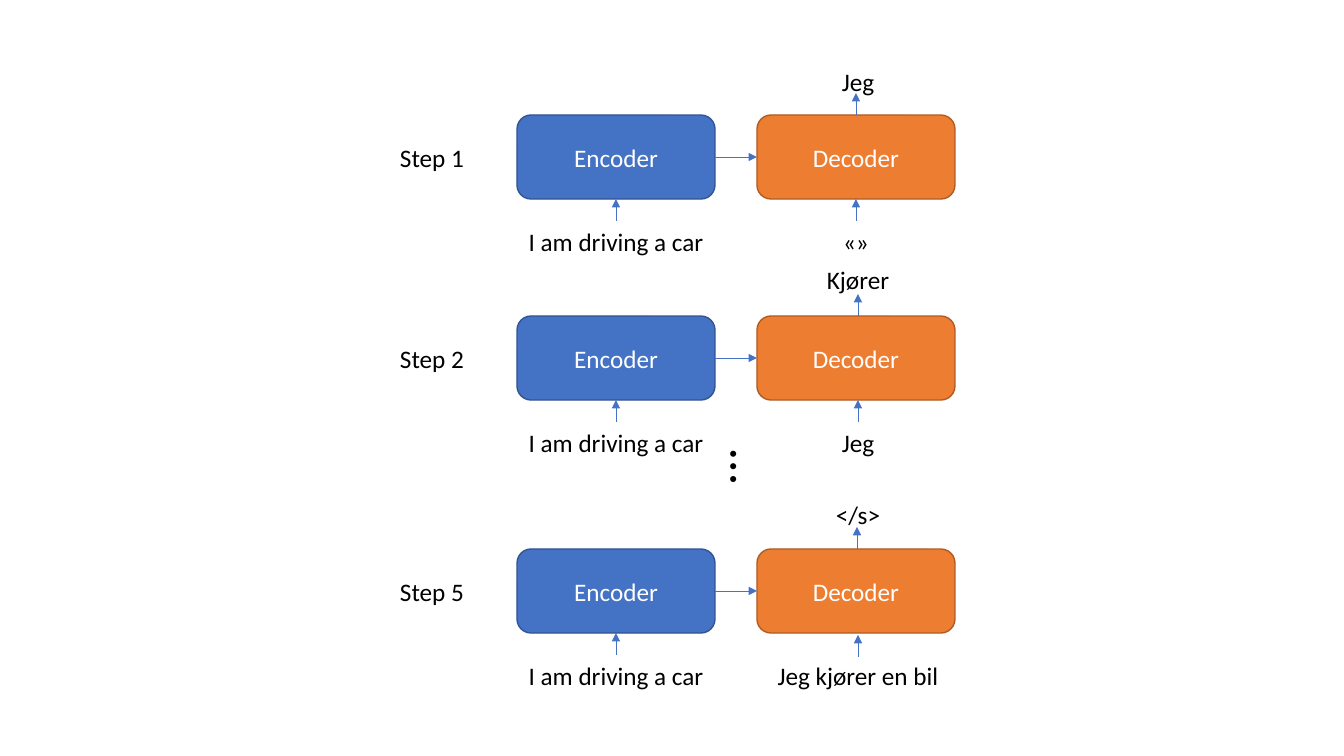
from lxml.etree import SubElement
from pptx import Presentation
from pptx.dml.color import RGBColor
from pptx.enum.shapes import MSO_CONNECTOR, MSO_SHAPE
from pptx.enum.text import MSO_ANCHOR, MSO_AUTO_SIZE, PP_ALIGN
from pptx.oxml.ns import qn
from pptx.util import Emu, Pt

SOURCE = ("I am driving a car", 198)
STEPS = [
    dict(label="Step 1", top=115, input=("«»", 46), output=("Jeg", 53),
         input_x=856, output_x=856, input_gap=0, output_rise=54),
    dict(label="Step 2", top=316, input=("Jeg", 53), output=("Kjører", 83),
         input_x=858, output_x=858, input_gap=0, output_rise=57),
    dict(label="Step 5", top=549, input=("Jeg kjører en bil", 182), output=("</s>", 66),
         input_x=858, output_x=857, input_gap=2, output_rise=55),
]
ELLIPSIS = ("…", 718, 436, 64, 72)

COLORS = {
    "encoder": "4472C4", "encoder_line": "325491",
    "decoder": "ED7D31", "decoder_line": "AF5C24",
    "arrow": "4472C4", "black": "000000", "white": "FFFFFF",
}
FONT = "Calibri"
SLIDE_WIDTH, SLIDE_HEIGHT = 1344, 756
ENCODER_LEFT, DECODER_LEFT = 517, 757
BOX_WIDTH, BOX_HEIGHT = 198, 84
LABEL_CENTER, LABEL_WIDTH = 432, 85
DECODER_TEXT_CENTER = 858
TEXT_HEIGHT = 40
ARROW_LENGTH = 22


def px(value):
    return Emu(round(value * 914400 / 100.8))


def color(name):
    return RGBColor.from_string(COLORS[name])


def write(shape, text, size=18, font_color="black", align=PP_ALIGN.CENTER,
          anchor=MSO_ANCHOR.TOP, wrap=False, grow=True):
    frame = shape.text_frame
    frame.word_wrap = wrap
    frame.auto_size = MSO_AUTO_SIZE.SHAPE_TO_FIT_TEXT if grow else MSO_AUTO_SIZE.NONE
    frame.vertical_anchor = anchor
    paragraph = frame.paragraphs[0]
    paragraph.alignment = align
    run = paragraph.add_run()
    run.text = text
    run.font.name = FONT
    run.font.size = Pt(size)
    run.font.color.rgb = color(font_color)


def add_box(slide, name, left, top):
    shape = slide.shapes.add_shape(MSO_SHAPE.ROUNDED_RECTANGLE, px(left), px(top),
                                   px(BOX_WIDTH), px(BOX_HEIGHT))
    shape.shadow.inherit = False
    shape.fill.solid()
    shape.fill.fore_color.rgb = color(name)
    shape.line.color.rgb = color(name + "_line")
    shape.line.width = Pt(1)
    write(shape, name.capitalize(), font_color="white", anchor=MSO_ANCHOR.MIDDLE,
          wrap=True, grow=False)


def add_text(slide, text, width, center, top):
    shape = slide.shapes.add_textbox(px(center - width / 2), px(top),
                                     px(width), px(TEXT_HEIGHT))
    write(shape, text)


def add_arrow(slide, start_x, start_y, end_x, end_y):
    connector = slide.shapes.add_connector(MSO_CONNECTOR.STRAIGHT, px(start_x), px(start_y),
                                           px(end_x), px(end_y))
    connector.line.color.rgb = color("arrow")
    connector.line.width = Pt(0.5)
    SubElement(connector.line._get_or_add_ln(), qn("a:tailEnd"), type="triangle")
    SubElement(connector._element.spPr, qn("a:effectLst"))


def add_up_arrow(slide, x, tip):
    add_arrow(slide, x, tip + ARROW_LENGTH, x, tip)


def add_step(slide, step):
    top = step["top"]
    bottom = top + BOX_HEIGHT
    middle = top + BOX_HEIGHT / 2
    input_top = bottom + ARROW_LENGTH
    encoder_center = ENCODER_LEFT + BOX_WIDTH / 2
    input_center = DECODER_TEXT_CENTER if step["input_x"] == 858 else step["input_x"]

    add_box(slide, "encoder", ENCODER_LEFT, top)
    add_box(slide, "decoder", DECODER_LEFT, top)
    add_text(slide, step["label"], LABEL_WIDTH, LABEL_CENTER, middle - TEXT_HEIGHT / 2)
    add_text(slide, *SOURCE, encoder_center, input_top)
    add_text(slide, *step["input"], input_center, input_top)
    add_text(slide, *step["output"], DECODER_TEXT_CENTER, top - step["output_rise"])
    add_arrow(slide, ENCODER_LEFT + BOX_WIDTH, middle, DECODER_LEFT, middle)
    add_up_arrow(slide, encoder_center, bottom)
    add_up_arrow(slide, step["input_x"], bottom + step["input_gap"])
    add_up_arrow(slide, step["output_x"], top - ARROW_LENGTH)


def main():
    presentation = Presentation()
    presentation.slide_width = px(SLIDE_WIDTH)
    presentation.slide_height = px(SLIDE_HEIGHT)
    slide = presentation.slides.add_slide(presentation.slide_layouts[6])
    for step in STEPS:
        add_step(slide, step)
    text, *frame = ELLIPSIS
    ellipsis = slide.shapes.add_textbox(*map(px, frame))
    ellipsis.rotation = 90
    write(ellipsis, text, size=36, align=PP_ALIGN.LEFT, wrap=True)
    presentation.save("out.pptx")


if __name__ == "__main__":
    main()
